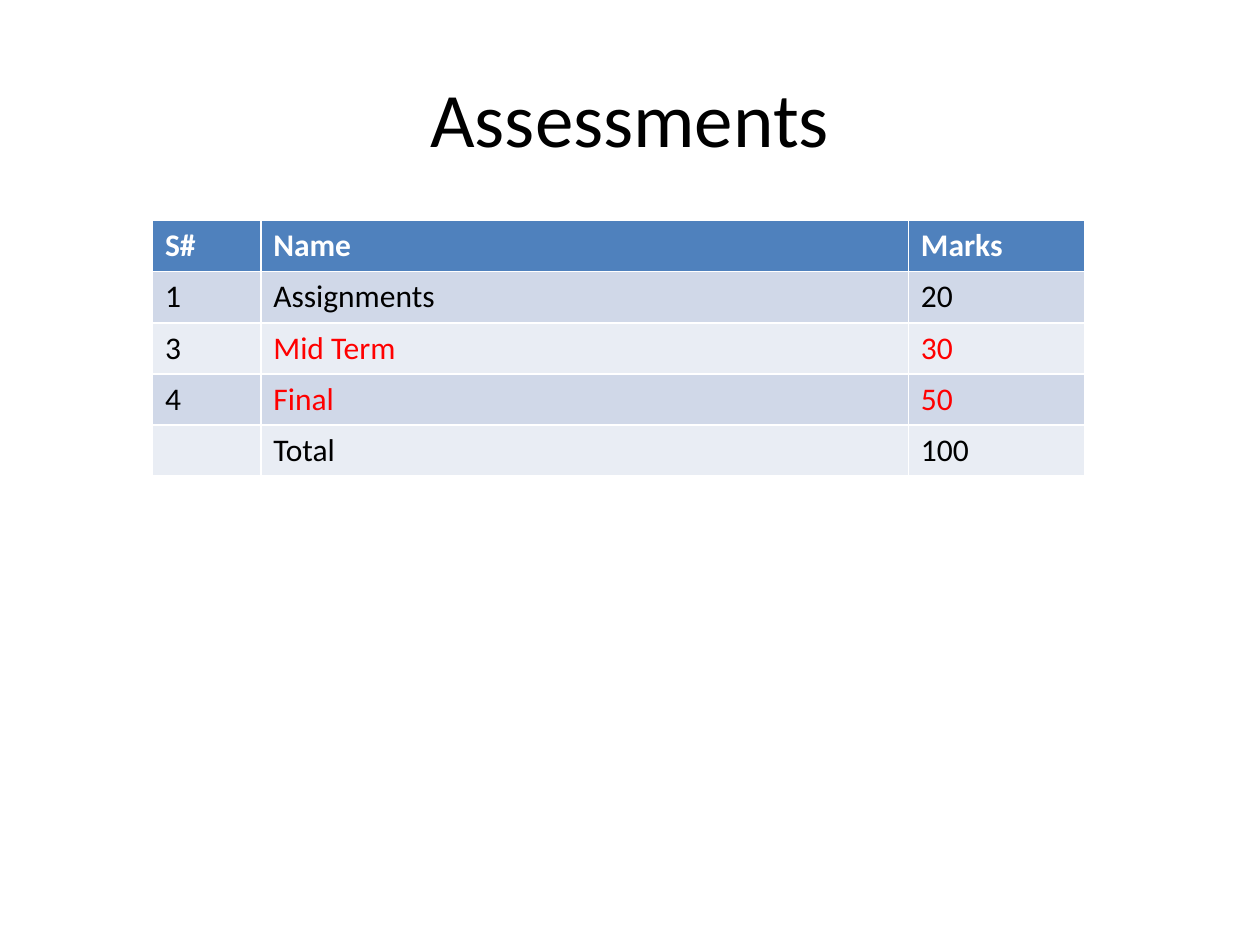
from pptx import Presentation
from pptx.dml.color import RGBColor
from pptx.enum.text import MSO_ANCHOR, PP_ALIGN
from pptx.util import Inches, Pt

CENTER = PP_ALIGN.CENTER
MIDDLE = MSO_ANCHOR.MIDDLE
TITLE_ONLY = 5
FONT = "Calibri"
COLORS = {
    "text": "000000",
    "header_text": "FFFFFF",
    "exam": "FF0000",
    "header": "4F81BD",
    "odd_row": "D0D8E8",
    "even_row": "E9EDF4",
}
COLUMN_WIDTHS = [0.86, 5.14, 1.4]
ROW_HEIGHT = 0.406
ASSESSMENTS = [
    ["S#", "Name", "Marks"],
    ["1", "Assignments", "20"],
    ["3", "Mid Term", "30"],
    ["4", "Final", "50"],
    ["", "Total", "100"],
]
EXAMS = {"Mid Term", "Final"}


def color(name):
    return RGBColor.from_string(COLORS[name])


def format_text(frame, size, color_name, bold=False):
    for paragraph in frame.paragraphs:
        for span in paragraph.runs:
            span.font.name = FONT
            span.font.size = Pt(size)
            span.font.bold = bold
            span.font.color.rgb = color(color_name)


def add_title(page, text):
    title = page.shapes.title
    title.left, title.top = Inches(0.5), Inches(0.3)
    title.width, title.height = Inches(9), Inches(1.25)
    frame = title.text_frame
    frame.text = text
    frame.vertical_anchor = MIDDLE
    frame.paragraphs[0].alignment = CENTER
    format_text(frame, 44, "text")


def fill_cell(cell, text, fill_name, text_color, bold):
    cell.fill.solid()
    cell.fill.fore_color.rgb = color(fill_name)
    if text:
        cell.text_frame.text = text
        format_text(cell.text_frame, 18, text_color, bold)
    else:
        cell.text_frame.paragraphs[0].font.size = Pt(18)


def add_marks_table(page):
    table = page.shapes.add_table(
        len(ASSESSMENTS), len(COLUMN_WIDTHS), Inches(1.21), Inches(1.75),
        Inches(sum(COLUMN_WIDTHS)), Inches(ROW_HEIGHT * len(ASSESSMENTS)),
    ).table
    for column, width in zip(table.columns, COLUMN_WIDTHS):
        column.width = Inches(width)
    for row_index, values in enumerate(ASSESSMENTS):
        is_header = row_index == 0
        fill_name = "header" if is_header else "odd_row" if row_index % 2 else "even_row"
        for column_index, text in enumerate(values):
            is_exam = values[1] in EXAMS and column_index > 0
            text_color = "header_text" if is_header else "exam" if is_exam else "text"
            fill_cell(table.cell(row_index, column_index), text, fill_name, text_color, is_header)


def main():
    deck = Presentation()
    deck.slide_width, deck.slide_height = Inches(10), Inches(7.5)
    page = deck.slides.add_slide(deck.slide_layouts[TITLE_ONLY])
    add_title(page, "Assessments")
    add_marks_table(page)
    deck.save("out.pptx")


if __name__ == "__main__":
    main()
